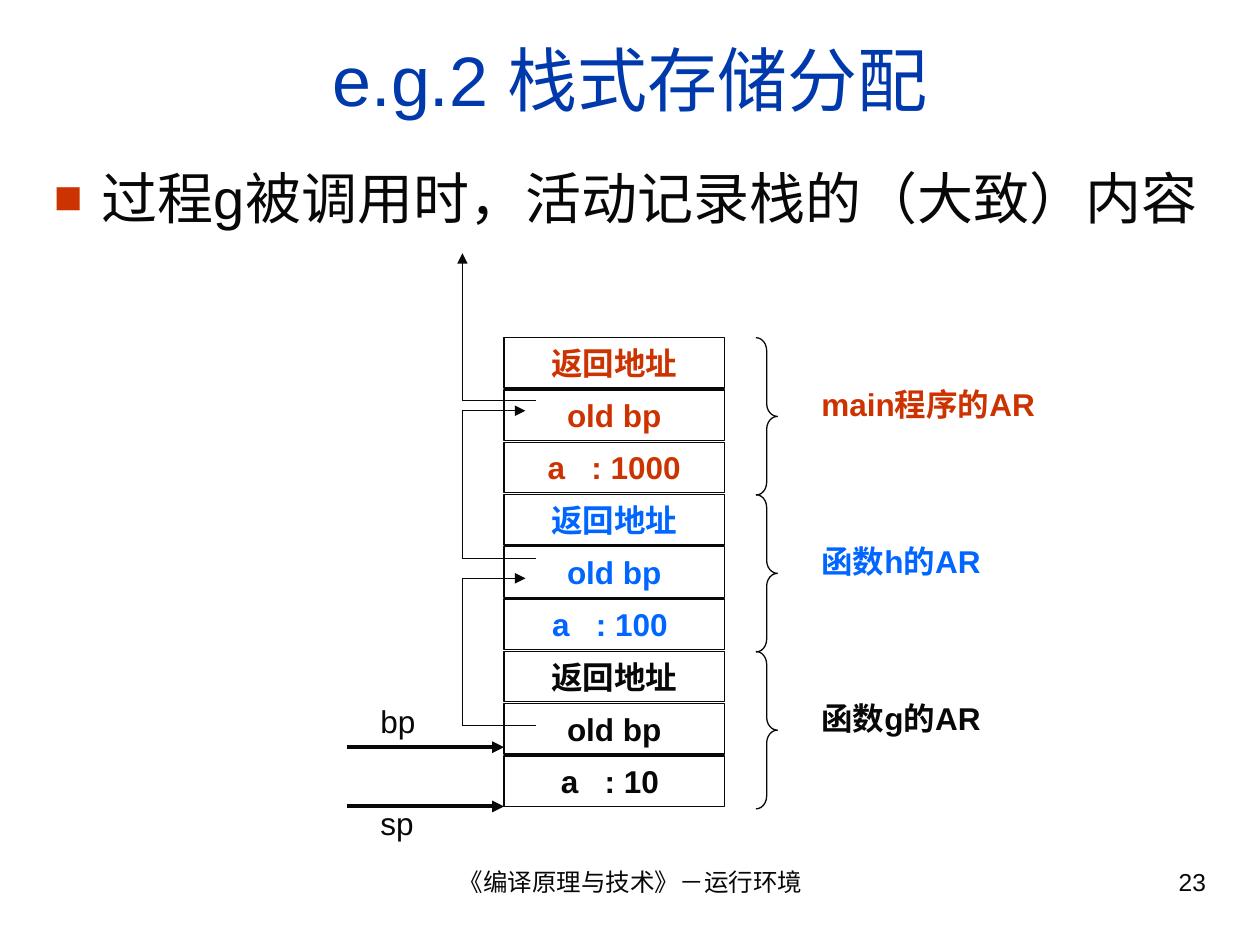
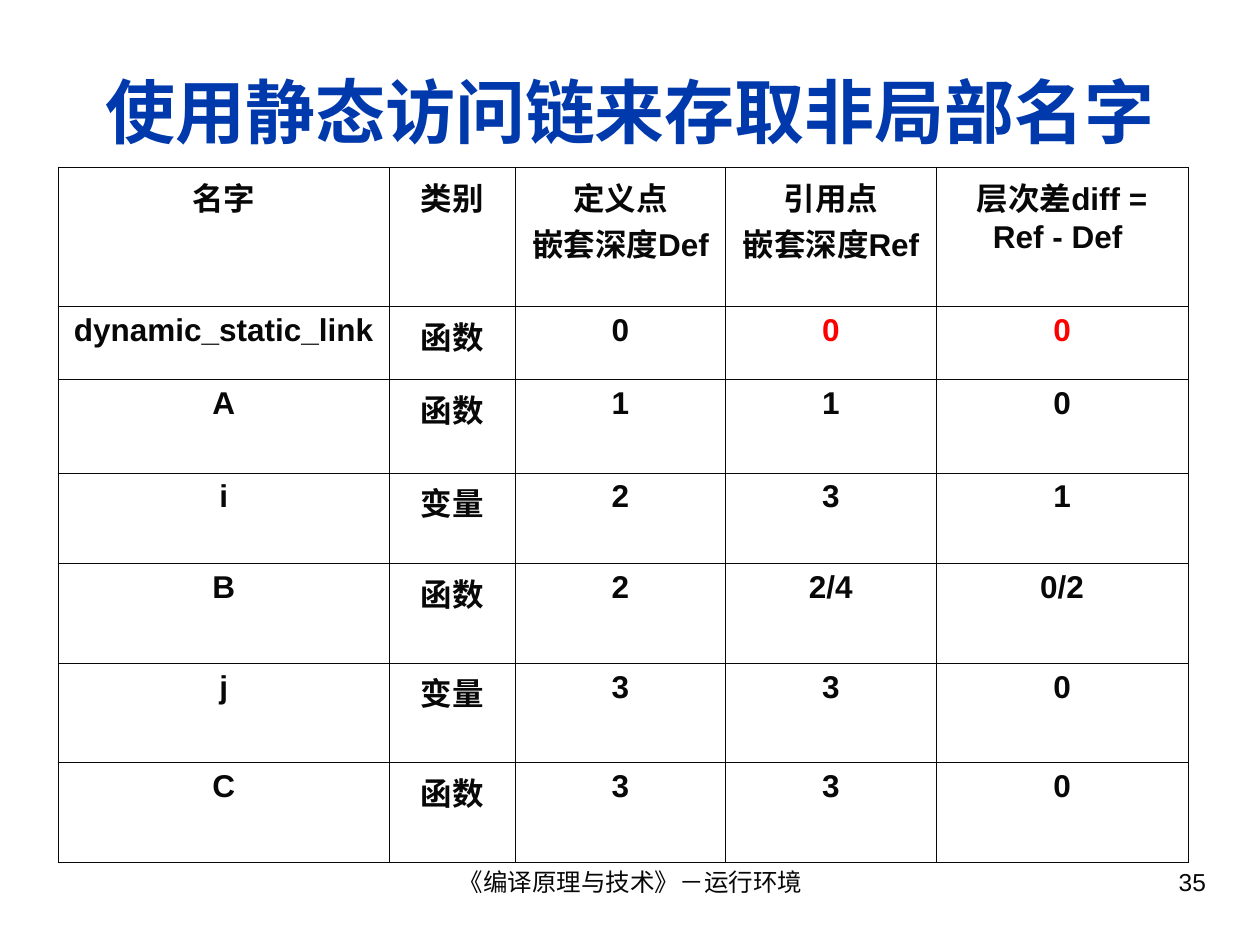
from lxml.etree import SubElement
from pptx import Presentation
from pptx.dml.color import RGBColor
from pptx.enum.shapes import MSO_CONNECTOR, MSO_SHAPE
from pptx.enum.text import MSO_ANCHOR, MSO_AUTO_SIZE, PP_ALIGN
from pptx.oxml.ns import qn
from pptx.util import Inches, Pt

INK = RGBColor(0x08, 0x08, 0x08)
TITLE_BLUE = RGBColor(0x00, 0x39, 0xAC)
BRICK = RGBColor(0xCC, 0x33, 0x00)
BLUE = RGBColor(0x00, 0x66, 0xFF)
RED = RGBColor(0xFF, 0x00, 0x00)

FOOTER = "《编译原理与技术》－运行环境"
FRAME_FORMAT = {"word_wrap": True, "auto_size": MSO_AUTO_SIZE.NONE,
                "margin_left": Inches(0.1), "margin_right": Inches(0.1),
                "margin_top": Inches(0.05), "margin_bottom": Inches(0.05)}


def write(frame, text, size, color=INK, bold=False, align=PP_ALIGN.LEFT,
          anchor=MSO_ANCHOR.TOP):
    """Fill a text frame, one paragraph for each line of text."""
    for name, value in {**FRAME_FORMAT, "vertical_anchor": anchor}.items():
        setattr(frame, name, value)
    frame.text = text
    for paragraph in frame.paragraphs:
        paragraph.alignment = align
        font = paragraph.runs[0].font
        font.color.rgb = color
        for name, value in {"name": "Arial", "size": Pt(size), "bold": bold}.items():
            setattr(font, name, value)


def draw_line(slide, start, end, width=0.75, arrow=False):
    """Draw a straight line, with an arrowhead at its end if asked."""
    line = slide.shapes.add_connector(
        MSO_CONNECTOR.STRAIGHT, *[Inches(v) for v in (*start, *end)])
    line.line.color.rgb = INK
    line.line.width = Pt(width)
    properties = line._element.spPr
    if arrow:
        SubElement(properties.find(qn("a:ln")), qn("a:tailEnd"), type="triangle")
    SubElement(properties, qn("a:effectLst"))


prs = Presentation()
prs.slide_width, prs.slide_height = Inches(10), Inches(7.5)

# Titles, footers and page numbers
pages = [("e.g.2 栈式存储分配", 0.75, False, "23"),
         ("使用静态访问链来存取非局部名字", 1.25, True, "35")]
for heading, height, bold, number in pages:
    slide = prs.slides.add_slide(prs.slide_layouts[5])
    title = slide.shapes.title
    title.left, title.top = Inches(0.33), Inches(0.25)
    title.width, title.height = Inches(9.34), Inches(height)
    write(title.text_frame, heading, 40, TITLE_BLUE, bold, PP_ALIGN.CENTER,
          MSO_ANCHOR.MIDDLE)
    for left, width, text, align in [(3.42, 3.17, FOOTER, PP_ALIGN.CENTER),
                                     (7.17, 2.5, number, PP_ALIGN.RIGHT)]:
        note = slide.shapes.add_textbox(Inches(left), Inches(6.83),
                                        Inches(width), Inches(0.52))
        write(note.text_frame, text, 14, align=align)

stack_slide, link_slide = prs.slides

# Stack slide: bulleted statement
statement = stack_slide.shapes.add_textbox(Inches(0.33), Inches(1.25),
                                           Inches(9.34), Inches(5.5))
write(statement.text_frame, "过程g被调用时，活动记录栈的（大致）内容", 32)
statement.text_frame.paragraphs[0].space_before = Pt(8)
bullet = statement.text_frame.paragraphs[0]._p.get_or_add_pPr()
bullet.set("marL", str(Inches(0.38)))
bullet.set("indent", str(-Inches(0.38)))
SubElement(SubElement(bullet, qn("a:buClr")), qn("a:srgbClr"), val=str(BRICK))
SubElement(bullet, qn("a:buSzPct"), val="85000")
SubElement(bullet, qn("a:buFont"), typeface="Arial")
SubElement(bullet, qn("a:buChar"), char="■")

# Activation records: three slots, a brace and a label each
STACK_TOP, SLOT_PITCH = 2.68, 0.415
records = [("main程序的AR", "a   : 1000", BRICK),
           ("函数h的AR", "a   : 100 ", BLUE),
           ("函数g的AR", "a   : 10 ", INK)]
for index, (owner, variable, color) in enumerate(records):
    record_top = STACK_TOP + index * 3 * SLOT_PITCH
    for row, content in enumerate(["返回地址", "old bp", variable]):
        slot = stack_slide.shapes.add_shape(
            MSO_SHAPE.RECTANGLE, Inches(4), Inches(record_top + row * SLOT_PITCH),
            Inches(1.75), Inches(0.4))
        slot.shadow.inherit = False
        slot.fill.background()
        slot.line.color.rgb = INK
        slot.line.width = Pt(0.75)
        write(slot.text_frame, content, 18, color, True, PP_ALIGN.CENTER)
    brace = stack_slide.shapes.add_shape(MSO_SHAPE.RIGHT_BRACE, Inches(6),
                                         Inches(record_top), Inches(0.17), Inches(1.25))
    brace.shadow.inherit = False
    brace.adjustments[0] = 0.6
    brace.fill.background()
    brace.line.color.rgb = INK
    brace.line.width = Pt(0.75)
    label = stack_slide.shapes.add_textbox(Inches(6.42), Inches(record_top + 0.33),
                                           Inches(2.08), Inches(0.4))
    write(label.text_frame, owner, 18, color, True)

# Control links from each old bp to the caller's record
LINK_X = 3.67
for start_y, end_y, enters_slot in [(5.76, 4.59, True), (4.43, 3.26, True),
                                    (3.18, 2.01, False)]:
    draw_line(stack_slide, (4.25, start_y), (LINK_X, start_y))
    draw_line(stack_slide, (LINK_X, start_y), (LINK_X, end_y), arrow=not enters_slot)
    if enters_slot:
        draw_line(stack_slide, (LINK_X, end_y), (4.17, end_y), arrow=True)

# Register pointers
for register, arrow_y, label_top in [("bp", 5.93, 5.52), ("sp", 6.4, 6.33)]:
    draw_line(stack_slide, (2.75, arrow_y), (4, arrow_y), 2.25, arrow=True)
    label = stack_slide.shapes.add_textbox(Inches(2.92), Inches(label_top),
                                           Inches(0.92), Inches(0.4))
    write(label.text_frame, register, 18)

# Link slide: nesting depths of each name
names = [
    ("名字", "类别", "定义点\n嵌套深度Def", "引用点\n嵌套深度Ref", "层次差diff =\nRef - Def "),
    ("dynamic_static_link", "函数", "0", "0", "0"),
    ("A", "函数", "1", "1", "0"),
    ("i", "变量", "2", "3", "1"),
    ("B", "函数", "2", "2/4", "0/2"),
    ("j", "变量", "3", "3", "0"),
    ("C", "函数", "3", "3", "0"),
]
red_cells = {(1, 3), (1, 4)}
column_widths = [2.63, 1, 1.67, 1.67, 2]
row_heights = [1.1, 0.58, 0.74, 0.72, 0.79, 0.79, 0.79]
depths = link_slide.shapes.add_table(
    len(names), len(column_widths), Inches(0.46), Inches(1.33),
    Inches(sum(column_widths)), Inches(sum(row_heights))).table
depths.first_row = depths.horz_banding = False
for column, width in zip(depths.columns, column_widths):
    column.width = Inches(width)
for row, height in zip(depths.rows, row_heights):
    row.height = Inches(height)

for r, entry in enumerate(names):
    for c, text in enumerate(entry):
        cell = depths.cell(r, c)
        write(cell.text_frame, text, 18, RED if (r, c) in red_cells else INK,
              True, PP_ALIGN.CENTER)
        properties = cell._tc.get_or_add_tcPr()
        for side in ("lnL", "lnR", "lnT", "lnB"):
            border = SubElement(properties, qn(f"a:{side}"), w=str(Pt(0.45)))
            fill = SubElement(border, qn("a:solidFill"))
            SubElement(fill, qn("a:srgbClr"), val=str(INK))
        cell.fill.background()

prs.save("out.pptx")
